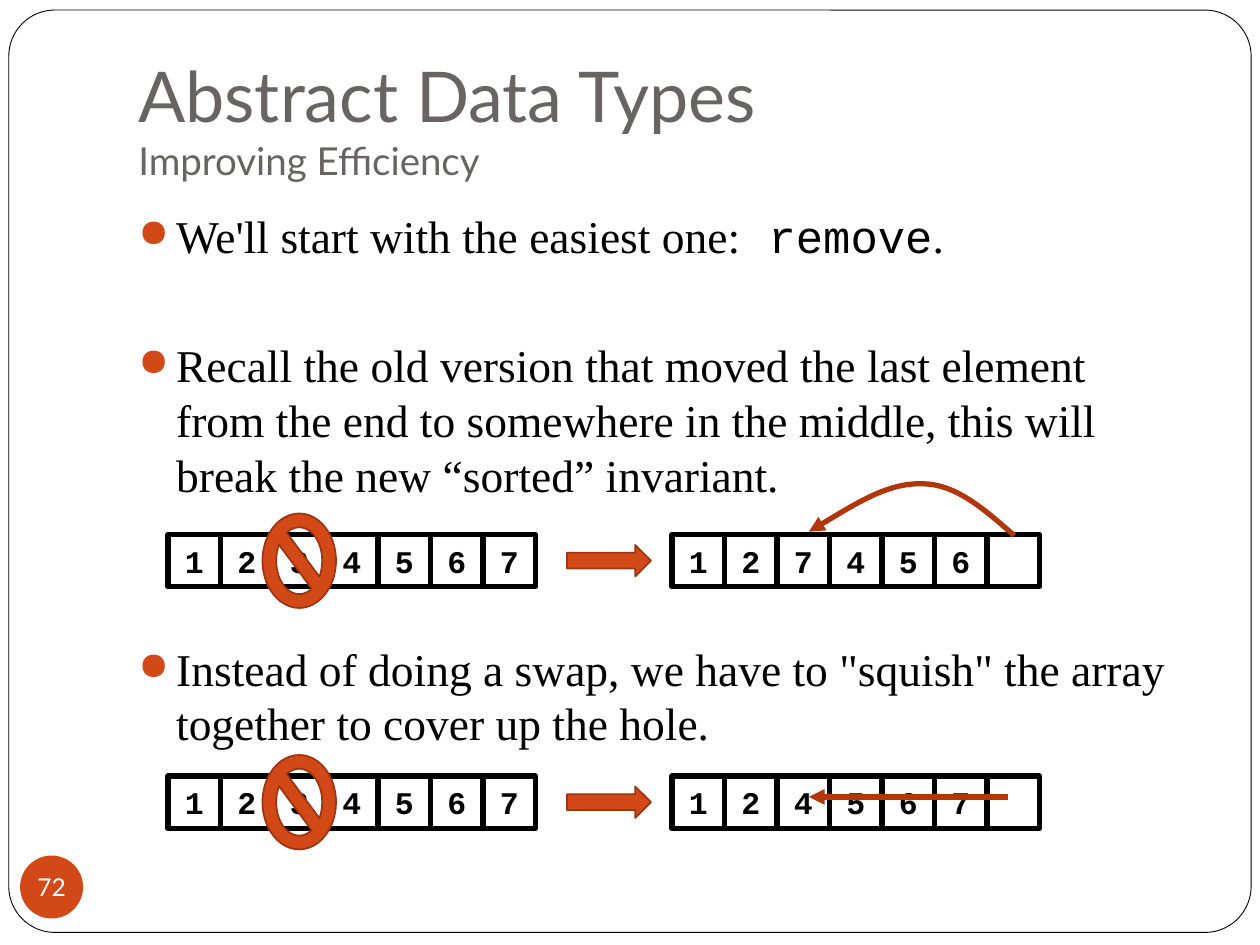
from itertools import product
from lxml.etree import SubElement
from pptx import Presentation
from pptx.dml.color import RGBColor
from pptx.enum.shapes import MSO_CONNECTOR as Link, MSO_SHAPE as Kind
from pptx.enum.text import MSO_ANCHOR as Anchor, PP_ALIGN as Align
from pptx.oxml.ns import qn
from pptx.util import Emu, Inches, Pt

theme = {
    "ink": "000000", "paper": "FFFFFF", "gray": "696464",
    "red": "D34817", "edge": "9C3511", "arrow": "B1360B",
    "head": "Lato", "body": "Times New Roman", "code": "Courier New",
    "title": 40, "sub": 22, "text": 26, "cell": 18, "page": 14,
}


def write(par, text, font="body", size="text", color="ink", bold=False):
    run = par.add_run()
    run.text = text
    run.font.name = theme[font]
    run.font.size = Pt(theme[size])
    run.font.color.rgb = RGBColor.from_string(theme[color])
    run.font.bold = bold


def paint(shape, fill=None, line=None, width=1):
    shape.shadow.inherit = False
    if fill:
        shape.fill.solid()
        shape.fill.fore_color.rgb = RGBColor.from_string(theme[fill])
    else:
        shape.fill.background()
    if line:
        shape.line.color.rgb = RGBColor.from_string(theme[line])
        shape.line.width = Pt(width)
    else:
        shape.line.fill.background()


deck = Presentation()
deck.slide_width, deck.slide_height = Inches(10), Inches(7.5)
slide = deck.slides.add_slide(deck.slide_layouts[6])
shapes = slide.shapes
unit = deck.slide_width / 120

frame = shapes.add_shape(Kind.ROUNDED_RECTANGLE, Inches(0.07), Inches(0.08), Inches(9.86), Inches(7.32))
frame.adjustments[0] = 0.05
paint(frame, "paper", "ink", 0.5)

title = shapes.add_textbox(Inches(1), Inches(0.3), Inches(8.5), Inches(1.25)).text_frame
title.word_wrap = True
title.vertical_anchor = Anchor.BOTTOM
title.margin_bottom = Inches(0.1)
par = title.paragraphs[0]
write(par, "Abstract Data Types", font="head", size="title", color="gray")
par.add_line_break()
write(par, "Improving Efficiency", font="head", size="sub", color="gray")

body = shapes.add_textbox(Inches(1), Inches(1.6), Inches(8.5), Inches(5)).text_frame
body.word_wrap = True
points = [
    (0, [("We'll start with the easiest one:", "body"), (" remove", "code"), (".", "body")]),
    (42.8, [("Recall the old version that moved the last element from the end to somewhere "
             "in the middle, this will break the new “sorted” invariant.", "body")]),
    (79.8, [("Instead of doing a swap, we have to \"squish\" the array together "
             "to cover up the hole.", "body")]),
]
for num, (gap, runs) in enumerate(points):
    par = body.add_paragraph() if num else body.paragraphs[0]
    par.line_spacing = Pt(31.2)
    par.space_before = Pt(gap)
    props = par._p.get_or_add_pPr()
    props.set("marL", str(Inches(0.3)))
    props.set("indent", str(-Inches(0.3)))
    SubElement(SubElement(props, qn("a:buClr")), qn("a:srgbClr"), val=theme["red"])
    SubElement(props, qn("a:buSzPct"), val="85000")
    SubElement(props, qn("a:buChar"), char="●")
    for text, font in runs:
        write(par, text, font=font)

cell = 5
for top, after in ((50.9, "127456 "), (73.9, "124567 ")):
    group = shapes.add_group_shape().shapes
    for (left, row), col in product(((16, "1234567"), (64, after)), range(7)):
        box = group.add_shape(Kind.RECTANGLE, Emu(round((left + col * cell) * unit)),
                              Emu(round(top * unit)), Emu(round(cell * unit)), Emu(round(cell * unit)))
        paint(box, None, "ink", 3)
        box.text_frame.vertical_anchor = Anchor.MIDDLE
        par = box.text_frame.paragraphs[0]
        par.alignment = Align.CENTER
        if row[col].strip():
            write(par, row[col], font="code", size="cell", bold=True)
    for kind, left, drop, wide, high in ((Kind.RIGHT_ARROW, 54, 1, 8, 3), (Kind.NO_SYMBOL, 25, -2, 7, 9)):
        sign = group.add_shape(kind, Emu(round(left * unit)), Emu(round((top + drop) * unit)),
                               Emu(round(wide * unit)), Emu(round(high * unit)))
        paint(sign, "red", "edge", 1)
    if top < 60:
        pen = group.build_freeform(Inches(8.05), Inches(4.25))
        knots = [(7.82, 4.05), (7.59, 3.84), (7.32, 3.84), (7.05, 3.83), (6.74, 4.03), (6.42, 4.22)]
        pen.add_line_segments([(Inches(x), Inches(y)) for x, y in knots], close=False)
        move = pen.convert_to_shape()
        paint(move, None, "arrow", 3)
        route = next(move._element.iter(qn("a:path")))
        legs = route.findall(qn("a:lnTo"))
        for start in range(0, len(legs), 3):
            curve = SubElement(route, qn("a:cubicBezTo"))
            for leg in legs[start:start + 3]:
                curve.append(leg[0])
                route.remove(leg)
    else:
        high = Emu(round((top + 2) * unit))
        move = group.add_connector(Link.STRAIGHT, Inches(8), high, Inches(6.42), high)
        move.line.color.rgb = RGBColor.from_string(theme["arrow"])
        move.line.width = Pt(3)
        SubElement(move._element.spPr, qn("a:effectLst"))
    SubElement(move.line._get_or_add_ln(), qn("a:tailEnd"), type="triangle")

badge = shapes.add_shape(Kind.OVAL, Inches(0.16), Inches(6.79), Inches(0.5), Inches(0.5))
paint(badge, "red")
page = badge.text_frame
page.word_wrap = False
page.vertical_anchor = Anchor.MIDDLE
page.margin_left = page.margin_right = page.margin_top = page.margin_bottom = 0
page.paragraphs[0].alignment = Align.CENTER
write(page.paragraphs[0], "72", font="head", size="page", color="paper")

deck.save("out.pptx")
